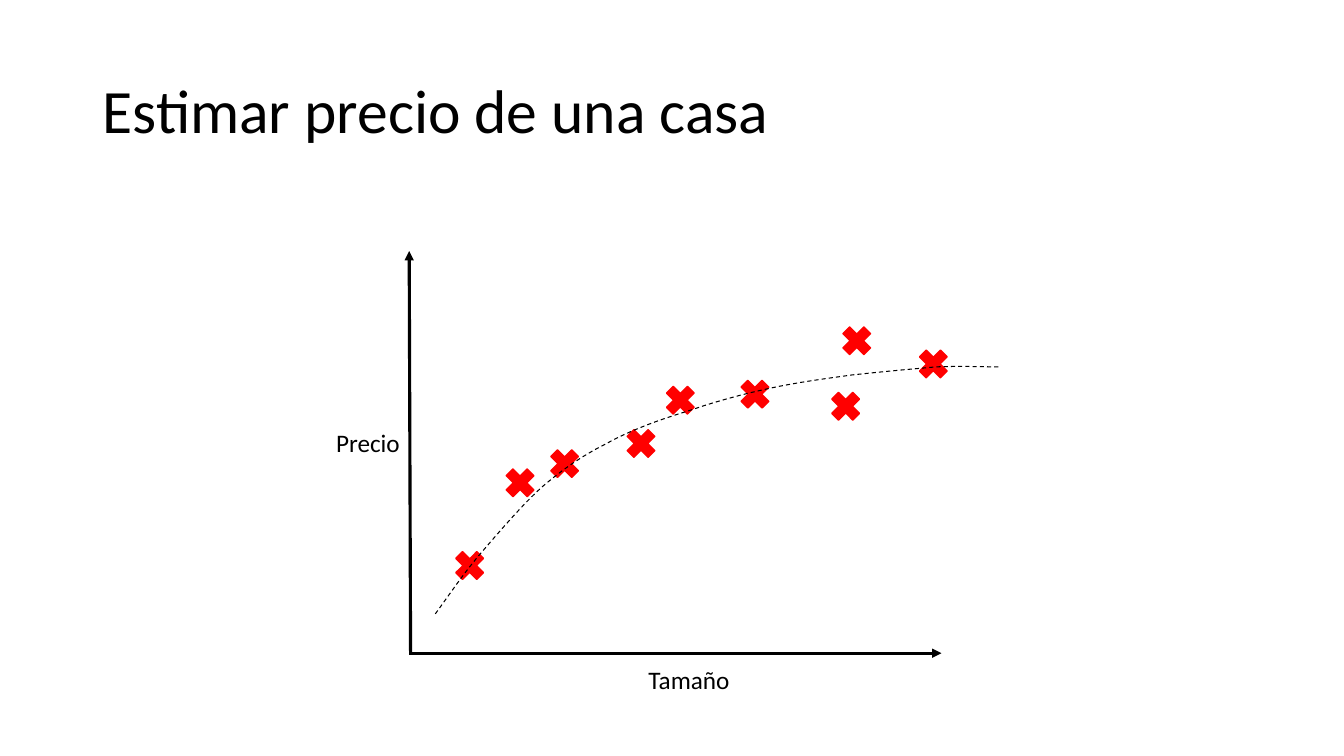
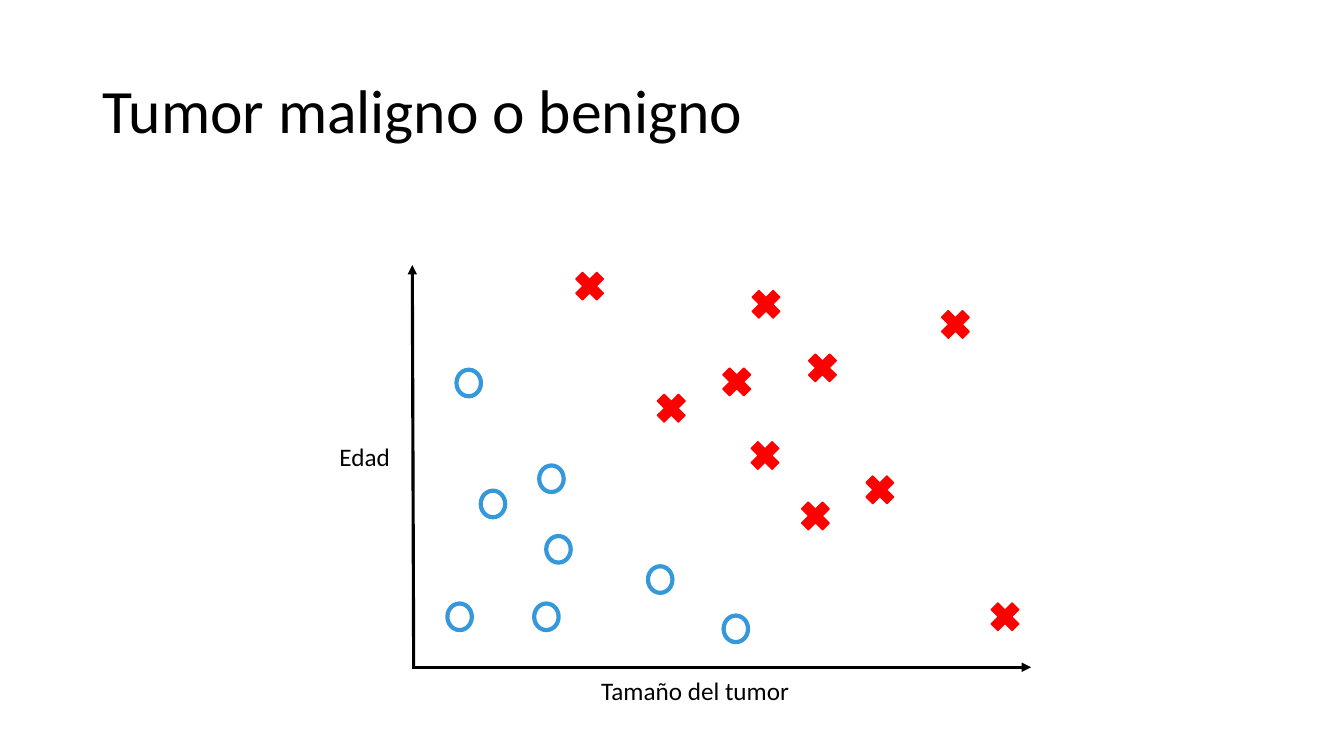
from lxml import etree
from pptx import Presentation
from pptx.dml.color import RGBColor
from pptx.enum import dml, shapes, text
from pptx.oxml import ns
from pptx.util import Pt

BLACK = RGBColor(0x00, 0x00, 0x00)
RED = RGBColor(0xFF, 0x00, 0x00)
BLUE = RGBColor(0x35, 0x98, 0xDB)
FONT = "Calibri"
TITLE_BOX = (66.2, 28.8, 828, 104.4)
AXIS_HEIGHT = 287.3
CROSS_SIZE = (28.8, 28.8)
CIRCLE_SIZE = (17.5, 19)
CURVE_STEPS = 12

# All plot data are points right of and above the corner of the axes.
HOUSES = [(111, 135.4), (247, 185), (311.8, 176.4), (193.7, 180.7), (165.6, 149.8),
          (319.7, 223.2), (374.4, 206.6), (79.2, 121.7), (43.2, 62.6)]
# Start point, then two control points and an end point for each arc
PRICE_CURVE = [
    (18.7, 28.1),
    (28.8, 41.8), (38.2, 56.2), (51.1, 71.3),
    (64.1, 86.4), (80.6, 105.8), (95, 118.8),
    (110.2, 131.8), (123.8, 141.1), (141.1, 149.8),
    (157.7, 159.1), (179.3, 167), (198.7, 172.8),
    (217.4, 179.3), (235.4, 184.3), (254.9, 188.6),
    (274.3, 193), (295.2, 195.8), (316.1, 198.7),
    (336.2, 200.9), (359.3, 203), (376.6, 204.5),
    (394.6, 205.2), (408.2, 204.5), (421.9, 204.5),
]
MALIGNANT = [(252, 151.2), (293, 213.8), (334, 126.7), (231.8, 203.8), (288, 108),
             (252.7, 259.2), (388, 244.8), (185, 185), (126.7, 272.2), (423.4, 36)]
BENIGN = [(57.6, 116.6), (33.8, 36), (95.8, 36), (99.4, 134.6),
          (177.1, 62.6), (104.4, 84.2), (231.1, 27.4), (40.3, 203)]


def add_text(page, box, words, size):
    shape = page.shapes.add_textbox(*map(Pt, box))
    frame = shape.text_frame
    frame.word_wrap = True
    frame.vertical_anchor = text.MSO_ANCHOR.MIDDLE
    para = frame.paragraphs[0]
    para.text = words
    para.font.name, para.font.size = FONT, Pt(size)
    para.font.color.rgb = BLACK
    return para


def add_page(deck, title):
    page = deck.slides.add_slide(deck.slide_layouts[6])
    add_text(page, TITLE_BOX, title, 44).line_spacing = 0.9
    return page


def place(origin, point):
    """Turn a plot point into a position on the page."""
    return origin[0] + point[0], origin[1] - point[1]


def add_arrow(page, start, end):
    arrow = page.shapes.add_connector(
        shapes.MSO_CONNECTOR.STRAIGHT, *map(Pt, (*start, *end)))
    arrow.line.color.rgb = BLACK
    arrow.line.width = Pt(2.25)
    etree.SubElement(arrow.line._get_or_add_ln(), ns.qn("a:tailEnd"), type="triangle")
    etree.SubElement(arrow._element.spPr, ns.qn("a:effectLst"))


def add_axes(page, origin, width):
    add_arrow(page, origin, place(origin, (width, 0)))
    add_arrow(page, place(origin, (1, 0)), place(origin, (0, AXIS_HEIGHT)))


def add_label(page, origin, center, width, words):
    x, y = place(origin, center)
    para = add_text(page, (x - width / 2, y - 14.5, width, 29), words, 18)
    para.alignment = text.PP_ALIGN.CENTER
    para._parent.word_wrap = False


def add_marks(page, origin, points, preset, size, color, line_width, filled):
    width, height = size
    for point in points:
        x, y = place(origin, point)
        mark = page.shapes.add_shape(
            preset, Pt(x - width / 2), Pt(y - height / 2), Pt(width), Pt(height))
        mark.shadow.inherit = False
        if filled:
            mark.fill.solid()
            mark.fill.fore_color.rgb = color
        else:
            mark.fill.background()
        mark.line.color.rgb = color
        mark.line.width = Pt(line_width)


def add_crosses(page, origin, points):
    add_marks(page, origin, points, shapes.MSO_SHAPE.MATH_MULTIPLY,
              CROSS_SIZE, RED, 1, True)


def add_circles(page, origin, points):
    add_marks(page, origin, points, shapes.MSO_SHAPE.OVAL,
              CIRCLE_SIZE, BLUE, 3, False)


def bezier(controls, t):
    weights = ((1 - t) ** 3, 3 * t * (1 - t) ** 2, 3 * t * t * (1 - t), t ** 3)
    return tuple(sum(w * v for w, v in zip(weights, axis)) for axis in zip(*controls))


def add_curve(page, origin, controls):
    points = [controls[0]]
    for first in range(0, len(controls) - 1, 3):
        arc = controls[first:first + 4]
        points += [bezier(arc, step / CURVE_STEPS) for step in range(1, CURVE_STEPS + 1)]
    start, *rest = [tuple(map(Pt, place(origin, point))) for point in points]
    builder = page.shapes.build_freeform(*start)
    builder.add_line_segments(rest, close=False)
    curve = builder.convert_to_shape()
    curve.shadow.inherit = False
    curve.fill.background()
    curve.line.color.rgb = BLACK
    curve.line.width = Pt(0.75)
    curve.line.dash_style = dml.MSO_LINE.DASH


def add_price_plot(page, origin):
    add_axes(page, origin, 380.2)
    add_crosses(page, origin, HOUSES)
    add_label(page, origin, (-29.5, 150.5), 60, "Precio")
    add_label(page, origin, (199.8, -18.7), 73, "Tamaño")
    add_curve(page, origin, PRICE_CURVE)


def add_tumor_plot(page, origin):
    add_axes(page, origin, 442)
    add_crosses(page, origin, MALIGNANT)
    add_circles(page, origin, BENIGN)
    add_label(page, origin, (-34, 150.5), 51, "Edad")
    add_label(page, origin, (202, -16.6), 150, "Tamaño del tumor")


def main():
    deck = Presentation()
    deck.slide_width, deck.slide_height = Pt(960), Pt(540)
    add_price_plot(add_page(deck, "Estimar precio de una casa"), (292.3, 466.6))
    add_tumor_plot(add_page(deck, "Tumor maligno o benigno"), (294.5, 476.6))
    deck.save("out.pptx")


if __name__ == "__main__":
    main()
